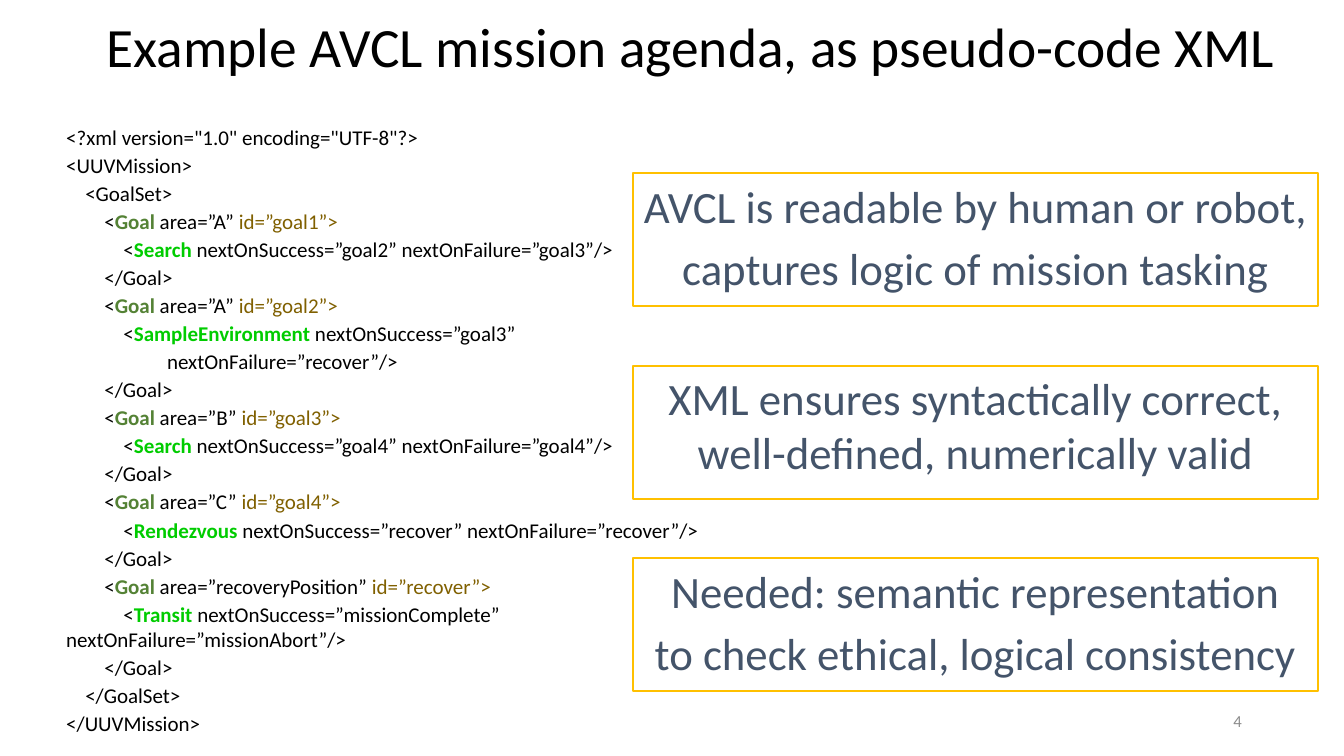
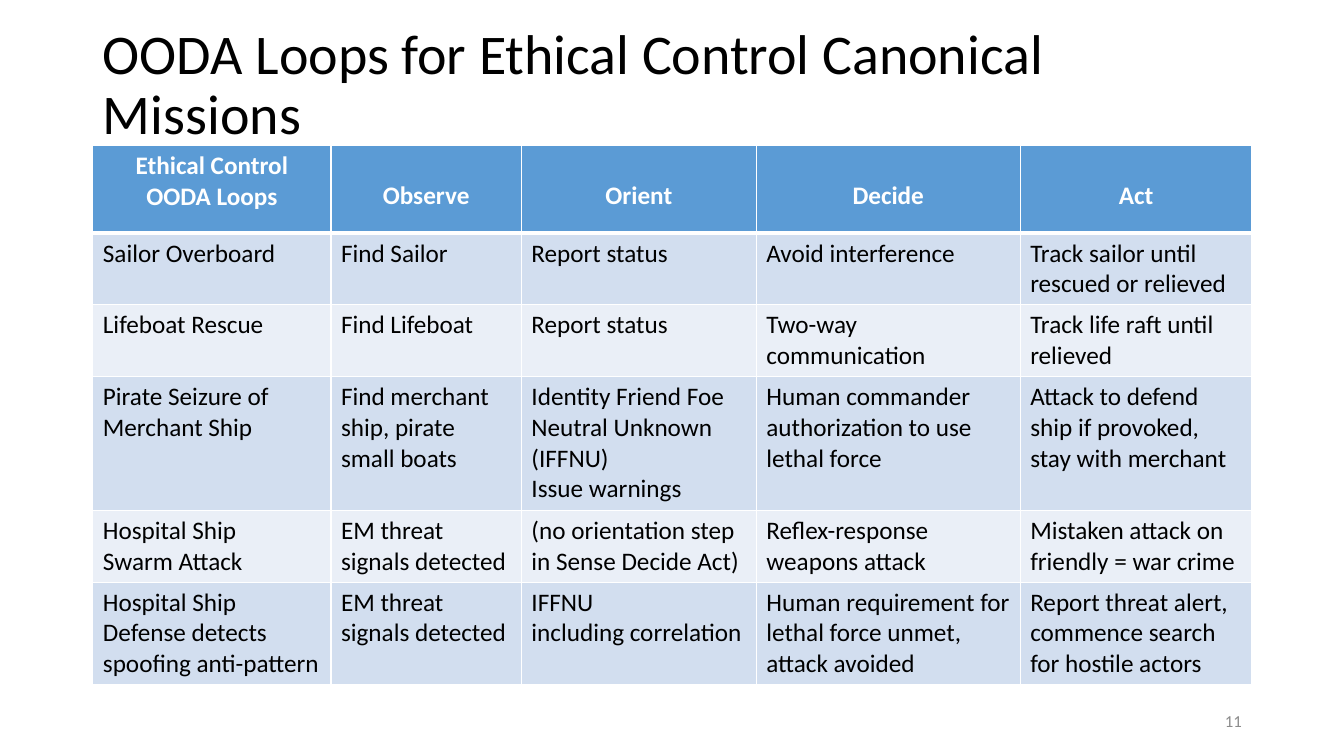
from lxml.etree import SubElement
from pptx import Presentation
from pptx.dml.color import RGBColor
from pptx.enum.shapes import MSO_SHAPE
from pptx.enum.text import MSO_ANCHOR, MSO_AUTO_SIZE, PP_ALIGN
from pptx.oxml import parse_xml
from pptx.oxml.ns import nsdecls, qn
from pptx.util import Cm, Pt

BLACK = RGBColor(0x00, 0x00, 0x00)
WHITE = RGBColor(0xFF, 0xFF, 0xFF)
GREY = RGBColor(0x8C, 0x8C, 0x8C)
SLATE = RGBColor(0x44, 0x54, 0x6A)
GOLD = RGBColor(0xFF, 0xC0, 0x00)
OLIVE = RGBColor(0x54, 0x82, 0x35)
GREEN = RGBColor(0x00, 0xCC, 0x00)
BROWN = RGBColor(0x80, 0x60, 0x00)
BLUE = RGBColor(0x5B, 0x9B, 0xD5)
BANDS = (RGBColor(0xD2, 0xDE, 0xEF), RGBColor(0xEA, 0xEF, 0xF7))

FONT = "Calibri"
CODE_INDENT = 0.48
CODE_TAB = 2.54

FRAME = {"word_wrap": True, "auto_size": MSO_AUTO_SIZE.NONE}
TITLE_FRAME = {**FRAME, "vertical_anchor": MSO_ANCHOR.MIDDLE}
TITLE_PARA = {"alignment": PP_ALIGN.LEFT, "line_spacing": 0.9}
CALLOUT_FRAME = {**FRAME, "vertical_anchor": MSO_ANCHOR.TOP,
                 "margin_left": Cm(0.2), "margin_right": Cm(0.2)}

GOALS = [
    ("A", "goal1", "Search", "goal2", "goal3"),
    ("A", "goal2", "SampleEnvironment", "goal3", "recover"),
    ("B", "goal3", "Search", "goal4", "goal4"),
    ("C", "goal4", "Rendezvous", "recover", "recover"),
    ("recoveryPosition", "recover", "Transit", "missionComplete", "missionAbort"),
]

CALLOUTS = [
    ["AVCL is readable by human or robot,", "captures logic of mission tasking"],
    ["XML ensures syntactically correct, well-defined, numerically valid"],
    ["Needed: semantic representation", "to check ethical, logical consistency"],
]

COLUMN_WIDTHS = (6, 4.8, 5.92, 6.65, 5.84)
ROW_LINES = (2, 2, 4, 2, 3)
HEADER = ("Ethical Control\nOODA Loops", "Observe", "Orient", "Decide", "Act")
MISSIONS = [
    ("Sailor Overboard", "Find Sailor", "Report status", "Avoid interference",
     "Track sailor until rescued or relieved"),
    ("Lifeboat Rescue", "Find Lifeboat", "Report status", "Two-way communication",
     "Track life raft until relieved"),
    ("Pirate Seizure of Merchant Ship", "Find merchant ship, pirate small boats",
     "Identity Friend Foe Neutral Unknown (IFFNU)\nIssue warnings",
     "Human commander authorization to use lethal force",
     "Attack to defend ship if provoked, stay with merchant"),
    ("Hospital Ship\nSwarm Attack", "EM threat signals detected",
     "(no orientation step in Sense Decide Act)", "Reflex-response weapons attack",
     "Mistaken attack on friendly = war crime"),
    ("Hospital Ship\nDefense detects spoofing anti-pattern",
     "EM threat signals detected", "IFFNU\nincluding correlation",
     "Human requirement for lethal force unmet, attack avoided",
     "Report threat alert, commence search for hostile actors"),
]


def apply(obj, values):
    for name, value in values.items():
        setattr(obj, name, value)


def add_run(p, text, size, color=BLACK, bold=False):
    r = p.add_run()
    r.text = text
    apply(r.font, {"name": FONT, "size": Pt(size), "bold": bold})
    r.font.color.rgb = color


def paragraphs(tf, count):
    return [tf.paragraphs[0]] + [tf.add_paragraph() for _ in range(count - 1)]


def add_text_box(s, box, values):
    tf = s.shapes.add_textbox(*map(Cm, box)).text_frame
    apply(tf, values)
    return tf


def add_titled_slide(prs, title, size, box, number):
    s = prs.slides.add_slide(prs.slide_layouts[5])
    sp = s.shapes.title
    apply(sp, dict(zip(("left", "top", "width", "height"), map(Cm, box))))
    tf = sp.text_frame
    apply(tf, TITLE_FRAME)
    p = tf.paragraphs[0]
    apply(p, TITLE_PARA)
    add_run(p, title, size)
    p = add_text_box(s, (23.93, 17.65, 7.62, 1.02), TITLE_FRAME).paragraphs[0]
    p.alignment = PP_ALIGN.RIGHT
    add_run(p, str(number), 12, GREY)
    return s


def goal_lines(area, name, task, success, failure):
    step, inner = 2 * CODE_INDENT, 3 * CODE_INDENT
    on_success = f" nextOnSuccess=”{success}”"
    on_failure = f"nextOnFailure=”{failure}”/>"
    task_runs = [("<",), (task, GREEN, True)]
    yield step, [("<",), ("Goal", OLIVE, True), (f" area=”{area}” ",),
                 (f"id=”{name}”>", BROWN)]
    if task == "SampleEnvironment":
        yield inner, task_runs + [(on_success,)]
        yield CODE_TAB, [(on_failure,)]
    else:
        yield inner, task_runs + [(f"{on_success} {on_failure}",)]
    yield step, [("</Goal>",)]


def add_code(s, box):
    lines = [(0, [('<?xml version="1.0" encoding="UTF-8"?>',)]),
             (0, [("<UUVMission>",)]),
             (CODE_INDENT, [("<GoalSet>",)])]
    for goal in GOALS:
        lines += goal_lines(*goal)
    lines += [(CODE_INDENT, [("</GoalSet>",)]), (0, [("</UUVMission>",)])]
    tf = add_text_box(s, box, FRAME)
    for p, (indent, runs) in zip(paragraphs(tf, len(lines)), lines):
        p.space_before = Pt(2)
        apply_indent = p._p.get_or_add_pPr().set
        apply_indent("marL", "0")
        apply_indent("indent", str(Cm(indent)))
        for text, *style in runs:
            add_run(p, text, 15, *style)


def add_callouts(s, box):
    left, top, width, height = box
    box_height = 3.35
    pitch = (height - box_height) / (len(CALLOUTS) - 1)
    for i, lines in enumerate(CALLOUTS):
        sp = s.shapes.add_shape(MSO_SHAPE.RECTANGLE, Cm(left), Cm(top + i * pitch),
                                Cm(width), Cm(box_height))
        sp.shadow.inherit = False
        sp.fill.background()
        sp.line.color.rgb = GOLD
        sp.line.width = Pt(1.5)
        tf = sp.text_frame
        apply(tf, CALLOUT_FRAME)
        for n, (p, text) in enumerate(zip(paragraphs(tf, len(lines)), lines)):
            apply(p, {"alignment": PP_ALIGN.CENTER, "space_before": Pt(6.4 if n else 0)})
            add_run(p, text, 32, SLATE)


def set_borders(cell, widths):
    tcPr = cell._tc.get_or_add_tcPr()
    for i, (side, width) in enumerate(widths.items()):
        ln = parse_xml(f'<a:ln{side} {nsdecls("a")} w="{Pt(width)}"/>')
        fill = SubElement(ln, qn("a:solidFill"))
        SubElement(fill, qn("a:srgbClr")).set("val", str(WHITE))
        tcPr.insert(i, ln)


def fill_cell(cell, text, row, col):
    header = row == 0
    cell.fill.solid()
    cell.fill.fore_color.rgb = BLUE if header else BANDS[(row - 1) % 2]
    set_borders(cell, {"L": 1, "R": 1, "T": 3 if row == 1 else 1, "B": 3 if header else 1})
    if header and col:
        cell.margin_top = Cm(0.9)
    lines = text.split("\n")
    for p, line in zip(paragraphs(cell.text_frame, len(lines)), lines):
        p.alignment = PP_ALIGN.CENTER if header else PP_ALIGN.LEFT
        add_run(p, line, 18, WHITE if header else BLACK, header)


def add_missions_table(s, left, top):
    rows = [HEADER] + MISSIONS
    heights = [2.21] + [0.25 + 0.78 * n for n in ROW_LINES]
    table = s.shapes.add_table(len(rows), len(HEADER), Cm(left), Cm(top),
                               Cm(sum(COLUMN_WIDTHS)), Cm(sum(heights))).table
    for column, width in zip(table.columns, COLUMN_WIDTHS):
        column.width = Cm(width)
    for i, (texts, height) in enumerate(zip(rows, heights)):
        table.rows[i].height = Cm(height)
        for j, text in enumerate(texts):
            fill_cell(table.cell(i, j), text, i, j)


def agenda_slide(prs):
    s = add_titled_slide(prs, "Example AVCL mission agenda, as pseudo-code XML", 39.6,
                         (2.44, -0.33, 30.76, 3.18), 4)
    add_code(s, (1.42, 3.02, 16.97, 15.88))
    add_callouts(s, (15.95, 4.37, 17.27, 13.05))


def loops_slide(prs):
    s = add_titled_slide(prs, "OODA Loops for Ethical Control Canonical Missions", 40,
                         (2.34, 1.02, 29.21, 2.31), 11)
    add_missions_table(s, 2.34, 3.66)


def main():
    prs = Presentation()
    prs.slide_width, prs.slide_height = Cm(33.87), Cm(19.05)
    agenda_slide(prs)
    loops_slide(prs)
    prs.save("out.pptx")


if __name__ == "__main__":
    main()
